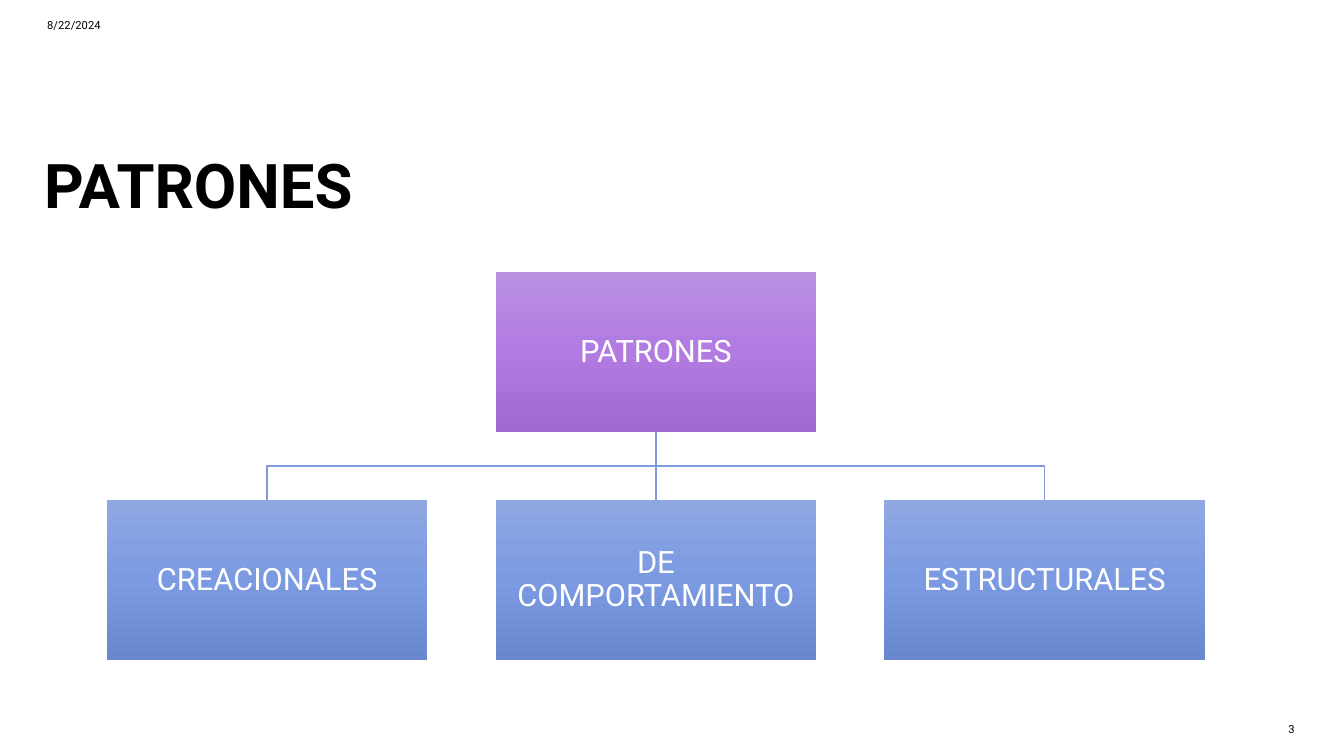
from copy import deepcopy

from lxml import etree
from pptx import Presentation
from pptx.dml.color import RGBColor
from pptx.enum import shapes, text
from pptx.oxml import ns
from pptx.util import Inches, Pt

FONT = "Roboto"
COLORS = {"text": "000000", "box text": "FFFFFF", "line": "809CDD", "background": "FFFFFF"}
GRADIENTS = {
    "root": {"start": "BA90E2", "middle": "B17BE2", "end": "9E68CE"},
    "category": {"start": "90A8E2", "middle": "7B9AE2", "end": "6887CE"},
}
CATEGORIES = ["CREACIONALES", "DE COMPORTAMIENTO", "ESTRUCTURALES"]
NODE_WIDTH, NODE_HEIGHT = 3.18, 1.59


def color(name):
    return RGBColor.from_string(COLORS[name])


def write(shape, words, size, color_name, align=text.PP_ALIGN.LEFT,
          anchor=text.MSO_ANCHOR.MIDDLE, bold=False, spacing=1.0):
    frame = shape.text_frame
    frame.word_wrap = True
    frame.vertical_anchor = anchor
    paragraph = frame.paragraphs[0]
    paragraph.text = words
    paragraph.alignment = align
    paragraph.line_spacing = spacing
    font = paragraph.font
    font.name, font.size, font.bold = FONT, Pt(size), bold
    font.color.rgb = color(color_name)


def add_text(slide, box, words, size, **style):
    shape = slide.shapes.add_textbox(*map(Inches, box))
    write(shape, words, size, "text", **style)


def fill_gradient(shape, stops):
    """Fill from top to bottom with three evenly spaced colours."""
    shape.fill.gradient()
    shape.fill.gradient_angle = 270
    stop_list = shape.fill._xPr.find(ns.qn("a:gradFill")).find(ns.qn("a:gsLst"))
    stop_list.insert(1, deepcopy(stop_list[0]))
    for index, (stop, name) in enumerate(zip(shape.fill.gradient_stops, ("start", "middle", "end"))):
        stop.position = index / 2
        stop.color.rgb = RGBColor.from_string(stops[name])


def add_node(slide, left, top, words, kind):
    shape = slide.shapes.add_shape(
        shapes.MSO_SHAPE.RECTANGLE, *map(Inches, (left, top, NODE_WIDTH, NODE_HEIGHT)))
    shape.shadow.inherit = False
    shape.line.fill.background()
    fill_gradient(shape, GRADIENTS[kind])
    frame = shape.text_frame
    frame.margin_left = frame.margin_right = Inches(0.02)
    frame.margin_top = frame.margin_bottom = Inches(0.02)
    write(shape, words, 22, "box text", align=text.PP_ALIGN.CENTER, spacing=0.9)
    return shape


def style_line(line):
    line.color.rgb = color("line")
    line.width = Pt(1)


def add_straight_link(slide, parent, child):
    link = slide.shapes.add_connector(shapes.MSO_CONNECTOR.STRAIGHT, 0, 0, 0, 0)
    link.begin_connect(parent, 2)
    link.end_connect(child, 0)
    style_line(link.line)
    etree.SubElement(link._element.spPr, ns.qn("a:effectLst"))


def add_bent_link(slide, parent, child):
    start_x, start_y = parent.left + parent.width // 2, parent.top + parent.height
    end_x, end_y = child.left + child.width // 2, child.top
    middle_y = (start_y + end_y) // 2
    builder = slide.shapes.build_freeform(start_x, start_y)
    builder.add_line_segments(
        [(start_x, middle_y), (end_x, middle_y), (end_x, end_y)], close=False)
    link = builder.convert_to_shape()
    link.shadow.inherit = False
    link.fill.background()
    style_line(link.line)


def add_hierarchy(slide, box):
    left, top, width, height = box
    step = (width - NODE_WIDTH) / (len(CATEGORIES) - 1)
    root = add_node(slide, left + (width - NODE_WIDTH) / 2, top, "PATRONES", "root")
    for index, words in enumerate(CATEGORIES):
        node = add_node(slide, left + index * step, top + height - NODE_HEIGHT, words, "category")
        if node.left == root.left:
            add_straight_link(slide, root, node)
        else:
            add_bent_link(slide, root, node)


def main():
    presentation = Presentation()
    presentation.slide_width, presentation.slide_height = Inches(13.33), Inches(7.5)
    slide = presentation.slides.add_slide(presentation.slide_layouts[6])
    slide.background.fill.solid()
    slide.background.fill.fore_color.rgb = color("background")
    add_text(slide, (0.34, 0.68, 10.89, 1.57), "PATRONES", 44,
             anchor=text.MSO_ANCHOR.BOTTOM, bold=True, spacing=0.9)
    add_hierarchy(slide, (1.06, 2.7, 10.89, 3.85))
    add_text(slide, (0.37, 0.07, 3, 0.35), "8/22/2024", 8)
    add_text(slide, (12.47, 7.03, 0.47, 0.4), "3", 8, align=text.PP_ALIGN.RIGHT)
    presentation.save("out.pptx")


if __name__ == "__main__":
    main()
